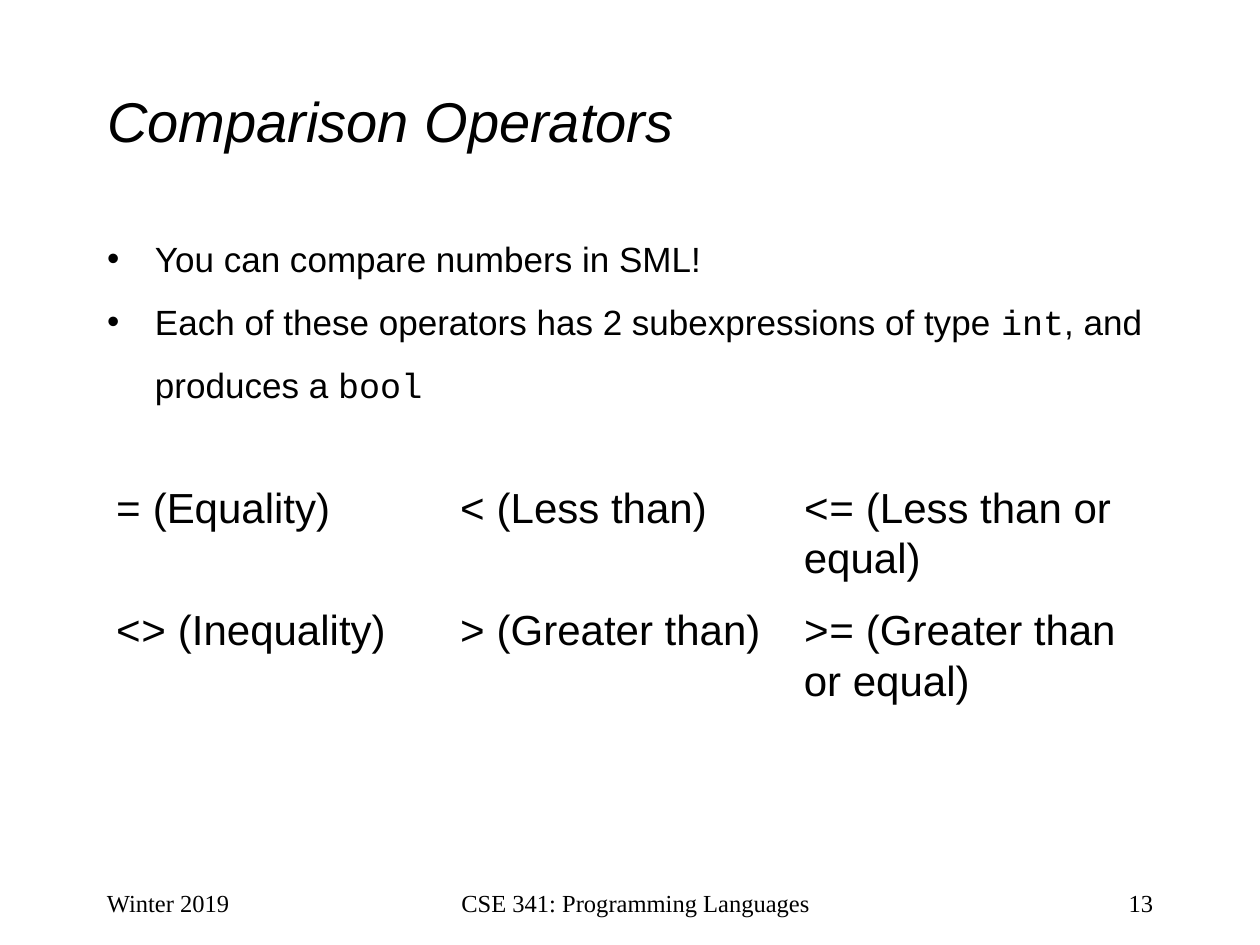
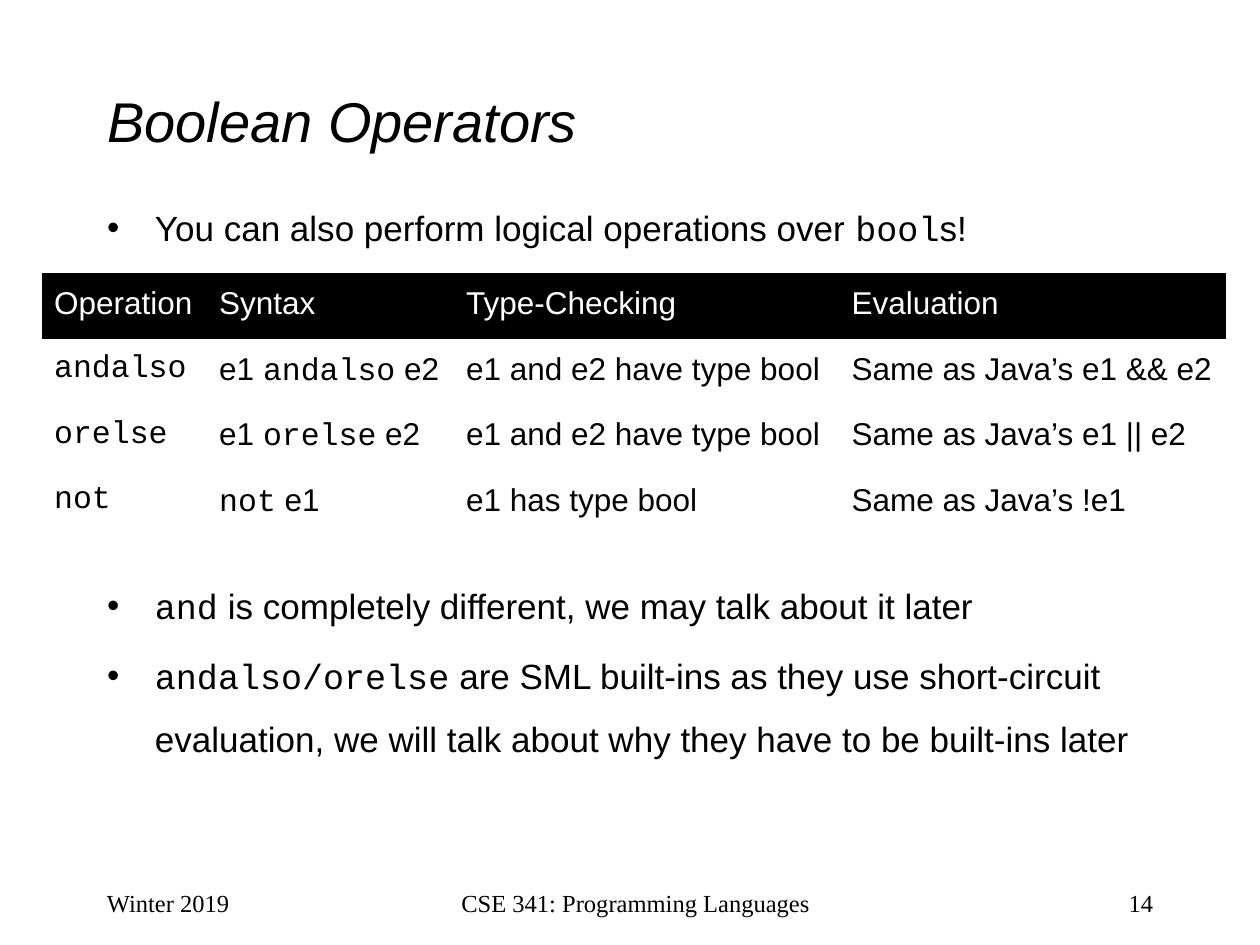
from pptx import Presentation
from pptx.util import Inches, Pt
from pptx.dml.color import RGBColor
from pptx.enum.text import PP_ALIGN as Align, MSO_ANCHOR as Anchor, MSO_AUTO_SIZE as Fit
from lxml.etree import SubElement as Sub
from pptx.oxml.ns import qn

BLACK, WHITE = "000000", "FFFFFF"
SANS, MONO, SERIF = "Arial", "Courier New", "Times New Roman"
PLAIN = "{2D5ABB26-0587-4C30-8999-92F81FD0307C}"


def color(code):
    return RGBColor.from_string(code)


class Deck:
    def __init__(self):
        self.show = Presentation()
        self.show.slide_width = Inches(10)
        self.show.slide_height = Inches(7.5)
        self.slide = None

    def start(self, title, number):
        self.slide = self.show.slides.add_slide(self.show.slide_layouts[1])
        head = self.slide.shapes.title
        self.place(head, 0.75, 0.33, 8.5, 1.25)
        head.text_frame.vertical_anchor = Anchor.MIDDLE
        self.label(head.text_frame.paragraphs[0], title, 32, italic=True)
        self.note("Winter 2019", 0.75, 2.08, Align.LEFT)
        self.note("CSE 341: Programming Languages", 3.17, 3.75, Align.CENTER)
        self.note(str(number), 7.17, 2.08, Align.RIGHT)

    def place(self, shape, left, top, width, height):
        shape.left, shape.top = Inches(left), Inches(top)
        shape.width, shape.height = Inches(width), Inches(height)
        shape.text_frame.word_wrap = True
        shape.text_frame.auto_size = Fit.NONE

    def label(self, para, text, size, face=SANS, ink=BLACK, align=Align.LEFT, italic=False):
        para.alignment = align
        font = para.font
        font.name, font.size, font.italic = face, Pt(size), italic
        font.color.rgb = color(ink)
        for index, part in enumerate(text.split("`")):
            if part:
                run = para.add_run()
                run.text = part
                if index % 2:
                    run.font.name = MONO

    def note(self, text, left, width, align):
        box = self.slide.shapes.add_textbox(0, 0, 0, 0)
        self.place(box, left, 7, width, 0.5)
        self.label(box.text_frame.paragraphs[0], text, 14, SERIF, align=align)

    def bullets(self, items, top, height):
        body = self.slide.placeholders[1]
        self.place(body, 0.75, top, 8.5, height)
        frame = body.text_frame
        for index, (text, gap) in enumerate(items):
            para = frame.add_paragraph() if index else frame.paragraphs[0]
            para.line_spacing = 1.5
            para.space_before = Pt(gap)
            props = para._p.get_or_add_pPr()
            props.set("marL", str(Inches(0.38)))
            props.set("indent", str(-Inches(0.38)))
            Sub(props, qn("a:buFont"), typeface=SANS)
            Sub(props, qn("a:buChar"), char="•")
            self.label(para, text, 20)

    def table(self, rows, left, top, widths, height, size, header=False):
        frame = self.slide.shapes.add_table(
            len(rows), len(widths), Inches(left), Inches(top),
            Inches(sum(widths)), Inches(height * len(rows)))
        grid = frame.table
        grid.first_row = header
        grid.horz_banding = False
        grid._tbl.tblPr.find(qn("a:tableStyleId")).text = PLAIN
        for column, width in zip(grid.columns, widths):
            column.width = Inches(width)
        for y, row in enumerate(rows):
            grid.rows[y].height = Inches(height)
            dark = header and y == 0
            for x, text in enumerate(row):
                cell = grid.cell(y, x)
                cell.margin_top = cell.margin_bottom = Inches(0.1)
                if dark:
                    cell.fill.solid()
                    cell.fill.fore_color.rgb = color(BLACK)
                else:
                    cell.fill.background()
                self.label(cell.text_frame.paragraphs[0], text, size,
                           ink=WHITE if dark else BLACK)


def main():
    deck = Deck()

    deck.start("Comparison Operators", 13)
    deck.bullets([
        ("You can compare numbers in SML!", 0),
        ("Each of these operators has 2 subexpressions of type `int`, "
         "and produces a `bool`", 0),
    ], 1.67, 5.08)
    deck.table([
        ["`=` (Equality)", "`<` (Less than)", "`<=` (Less than or equal)"],
        ["`<>` (Inequality)", "`>` (Greater than)", "`>=` (Greater than or equal)"],
    ], 0.82, 3.75, [2.73] * 3, 0.65, 24)

    deck.start("Boolean Operators", 14)
    deck.bullets([
        ("You can also perform logical operations over `bool`s!", 0),
        ("`and` is completely different, we may talk about it later", 180),
        ("`andalso/orelse` are SML built-ins as they use short-circuit "
         "evaluation, we will talk about why they have to be built-ins later", 4),
    ], 1.42, 5.25)
    both = "e1 and e2 have type bool"
    deck.table([
        ["Operation", "Syntax", "Type-Checking", "Evaluation"],
        ["`andalso`", "e1 `andalso` e2", both, "Same as Java’s e1 && e2"],
        ["`orelse`", "e1 `orelse` e2", both, "Same as Java’s e1 || e2"],
        ["`not`", "`not` e1", "e1 has type bool", "Same as Java’s !e1"],
    ], 0.33, 2.17, [1.31, 1.96, 3.06, 3.07], 0.52, 18, header=True)

    deck.show.save("out.pptx")


if __name__ == "__main__":
    main()
